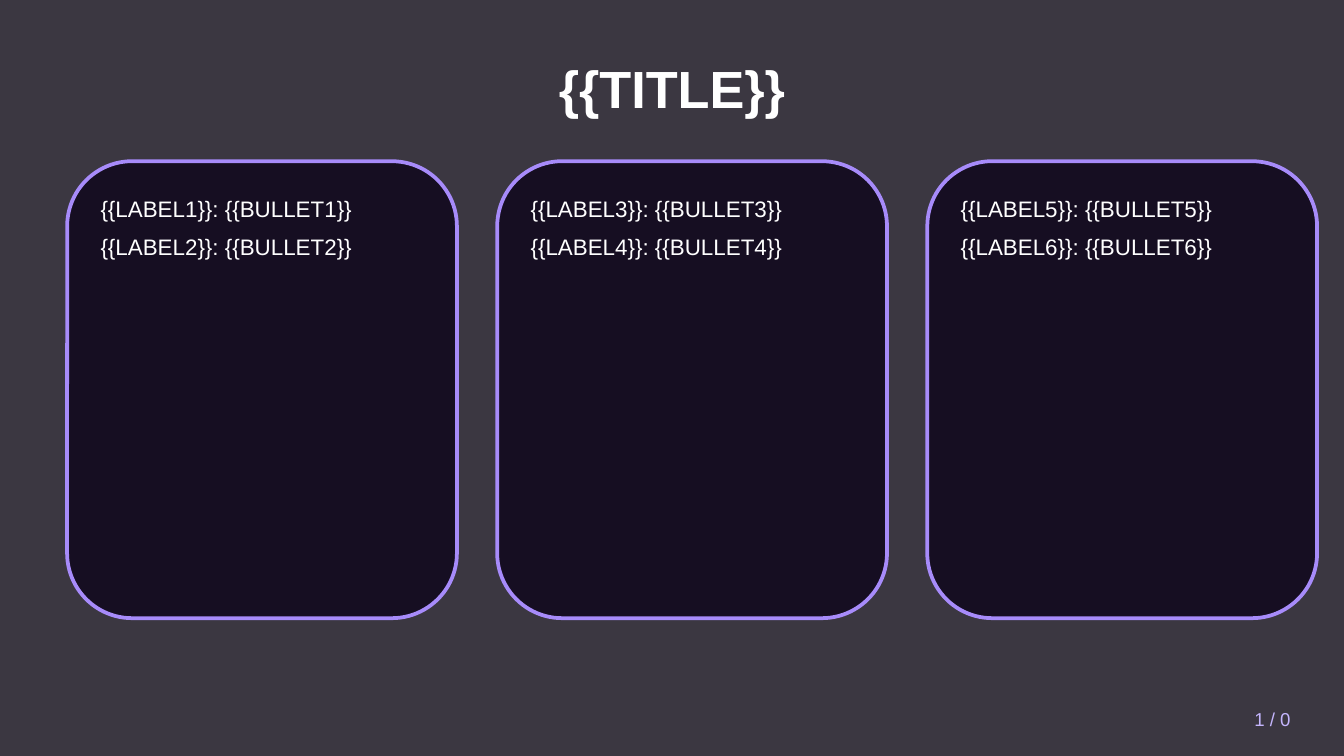
import pptx
import pptx.util
import pptx.dml.color
import pptx.enum.shapes
import pptx.enum.text
import pptx.oxml.ns
import lxml.etree

Inches = pptx.util.Inches
Align = pptx.enum.text.PP_ALIGN
Anchor = pptx.enum.text.MSO_ANCHOR
ShapeKind = pptx.enum.shapes.MSO_SHAPE

WIDTH = 10
HEIGHT = WIDTH * 9 / 16
CARD_LEFT, CARD_TOP, CARD_PITCH = 0.5, 1.2, 3.2
CARD_COUNT, LINES_PER_CARD = 3, 2


def color(hex_string):
    """Turn a hex string into a colour."""
    return pptx.dml.color.RGBColor.from_string(hex_string)


def add_panel(slide, kind, box, fill, opacity, outline=None):
    """Add a translucent shape, outlined when a line colour is given."""
    shape = slide.shapes.add_shape(kind, *map(Inches, box))
    shape.shadow.inherit = False
    shape.fill.solid()
    shape.fill.fore_color.rgb = color(fill)
    fill_color = shape.fill._xPr.solidFill.srgbClr
    alpha = lxml.etree.SubElement(fill_color, pptx.oxml.ns.qn("a:alpha"))
    alpha.set("val", str(opacity * 1000))
    if outline:
        shape.line.color.rgb = color(outline)
        shape.line.width = pptx.util.Pt(2)
    else:
        shape.line.fill.background()


def add_text(slide, box, lines, size, font_color="FFFFFF", bold=False,
             align=Align.LEFT, anchor=Anchor.TOP, space_after=0):
    """Add a wrapping text box with one paragraph for each line."""
    frame = slide.shapes.add_textbox(*map(Inches, box)).text_frame
    frame.word_wrap = True
    frame.vertical_anchor = anchor
    for index, line in enumerate(lines):
        paragraph = frame.add_paragraph() if index else frame.paragraphs[0]
        paragraph.alignment = align
        paragraph.space_after = pptx.util.Pt(space_after)
        run = paragraph.add_run()
        run.text = line
        run.font.name = "Arial"
        run.font.size = pptx.util.Pt(size)
        run.font.bold = bold
        run.font.color.rgb = color(font_color)


def add_card(slide, column):
    """Add one rounded card with its labelled bullets."""
    left = CARD_LEFT + column * CARD_PITCH
    first = column * LINES_PER_CARD + 1
    lines = [f"{{{{LABEL{number}}}}}: {{{{BULLET{number}}}}}"
             for number in range(first, first + LINES_PER_CARD)]
    add_panel(slide, ShapeKind.ROUNDED_RECTANGLE, (left, CARD_TOP, 2.9, 3.4),
              "120A1F", 90, "A78BFA")
    add_text(slide, (left + 0.15, CARD_TOP + 0.2, 2.6, 3), lines, 12,
             space_after=6)


def main():
    """Build and save the slide."""
    presentation = pptx.Presentation()
    presentation.slide_width = Inches(WIDTH)
    presentation.slide_height = Inches(HEIGHT)
    slide = presentation.slides.add_slide(presentation.slide_layouts[6])
    slide.background.fill.solid()
    slide.background.fill.fore_color.rgb = color("FFFFFF")

    add_panel(slide, ShapeKind.RECTANGLE, (0, 0, WIDTH, HEIGHT), "0A0612", 80)
    add_text(slide, (0.5, 0.3, 9, 0.7), ["{{TITLE}}"], 28, bold=True,
             align=Align.CENTER, anchor=Anchor.MIDDLE)
    for column in range(CARD_COUNT):
        add_card(slide, column)
    add_text(slide, (8.5, 5.2, 1.2, 0.3), ["1 / 0"], 10, "C4B5FD",
             align=Align.RIGHT, anchor=Anchor.MIDDLE)
    presentation.save("out.pptx")


if __name__ == "__main__":
    main()
